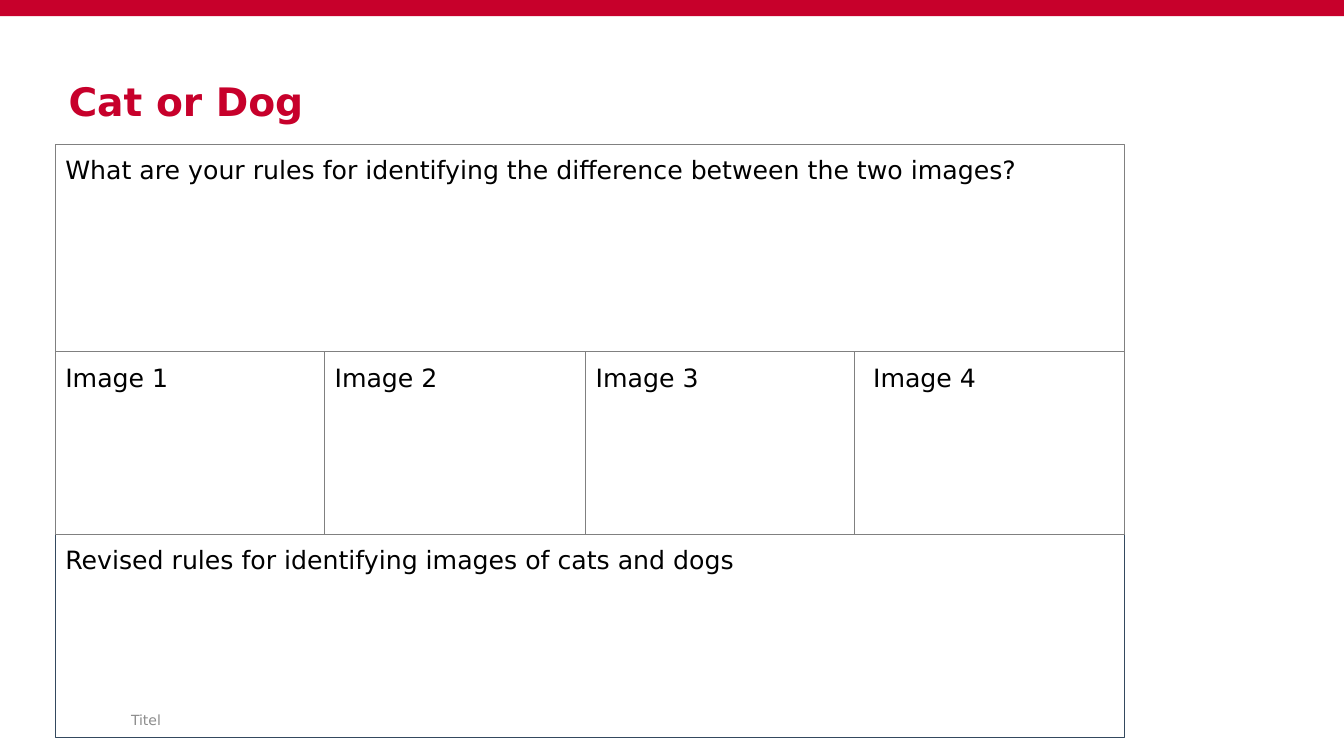
import pptx
import pptx.dml.color
import pptx.enum.shapes
import pptx.enum.text
import pptx.util

FONT = "DejaVu Sans"
RED = "C7002B"
GREY = "808080"
SLATE = "34495E"
SLIDE_WIDTH, SLIDE_HEIGHT = 13.33, 7.5
LEFT, TOP, WIDTH = 0.55, 1.43, 10.6
RULES_HEIGHT, IMAGES_HEIGHT, REVISED_HEIGHT = 2.06, 1.81, 2.02
IMAGE_WIDTHS = (2.67, 2.59, 2.67, 2.67)
INSET = 0.1
LAST_IMAGE_INDENT = 0.08


def color(hex_value):
    return pptx.dml.color.RGBColor.from_string(hex_value)


def inches(box):
    return [pptx.util.Inches(length) for length in box]


def write(frame, words, size, ink, inset, anchor, bold=False):
    frame.word_wrap = True
    frame.vertical_anchor = anchor
    frame.margin_left = frame.margin_right = pptx.util.Inches(inset)
    frame.margin_top = frame.margin_bottom = pptx.util.Inches(inset)
    frame.text = words
    line = frame.paragraphs[0]
    line.alignment = pptx.enum.text.PP_ALIGN.LEFT
    font = line.runs[0].font
    font.name = FONT
    font.size = pptx.util.Pt(size)
    font.bold = bold
    font.color.rgb = color(ink)


def rectangle(slide, box):
    panel = slide.shapes.add_shape(
        pptx.enum.shapes.MSO_SHAPE.RECTANGLE, *inches(box))
    panel.shadow.inherit = False
    return panel


def add_label(slide, box, words, size, ink, inset, bold=False):
    label = slide.shapes.add_textbox(*inches(box))
    write(label.text_frame, words, size, ink, inset,
          pptx.enum.text.MSO_ANCHOR.MIDDLE, bold)
    return label


def add_top_bar(slide, box):
    bar = rectangle(slide, box)
    bar.fill.solid()
    bar.fill.fore_color.rgb = color(RED)
    bar.line.fill.background()


def add_title(slide, box):
    title = add_label(slide, box, "Cat or Dog", 28, RED, 0.13, True)
    title.text_frame.paragraphs[0].line_spacing = 0.9


def add_answer_box(slide, box, prompt, outline=GREY):
    answer = rectangle(slide, box)
    answer.fill.background()
    answer.line.color.rgb = color(outline)
    answer.line.width = pptx.util.Pt(0.75)
    write(answer.text_frame, prompt, 18, "000000", INSET,
          pptx.enum.text.MSO_ANCHOR.TOP)
    return answer


def add_image_row(slide, left, top, height):
    for number, width in enumerate(IMAGE_WIDTHS, 1):
        answer = add_answer_box(
            slide, (left, top, width, height), f"Image {number}")
        left += width
    answer.text_frame.margin_left = pptx.util.Inches(INSET + LAST_IMAGE_INDENT)


def add_worksheet(slide, left, top, width):
    images_top = top + RULES_HEIGHT
    revised_top = images_top + IMAGES_HEIGHT
    add_answer_box(
        slide, (left, top, width, RULES_HEIGHT),
        "What are your rules for identifying the difference between the two images?")
    add_answer_box(
        slide, (left, revised_top, width, REVISED_HEIGHT),
        "Revised rules for identifying images of cats and dogs", SLATE)
    add_image_row(slide, left, images_top, IMAGES_HEIGHT)


def main():
    deck = pptx.Presentation()
    deck.slide_width, deck.slide_height = inches((SLIDE_WIDTH, SLIDE_HEIGHT))
    slide = deck.slides.add_slide(deck.slide_layouts[6])
    add_label(slide, (1.3, 6.99, 6.64, 0.31), "Titel", 10, "8C8C8C", 0)
    add_top_bar(slide, (0, 0, SLIDE_WIDTH, 0.16))
    add_title(slide, (LEFT, 0.62, 7.06, TOP - 0.62))
    add_worksheet(slide, LEFT, TOP, WIDTH)
    deck.save("out.pptx")


if __name__ == "__main__":
    main()
